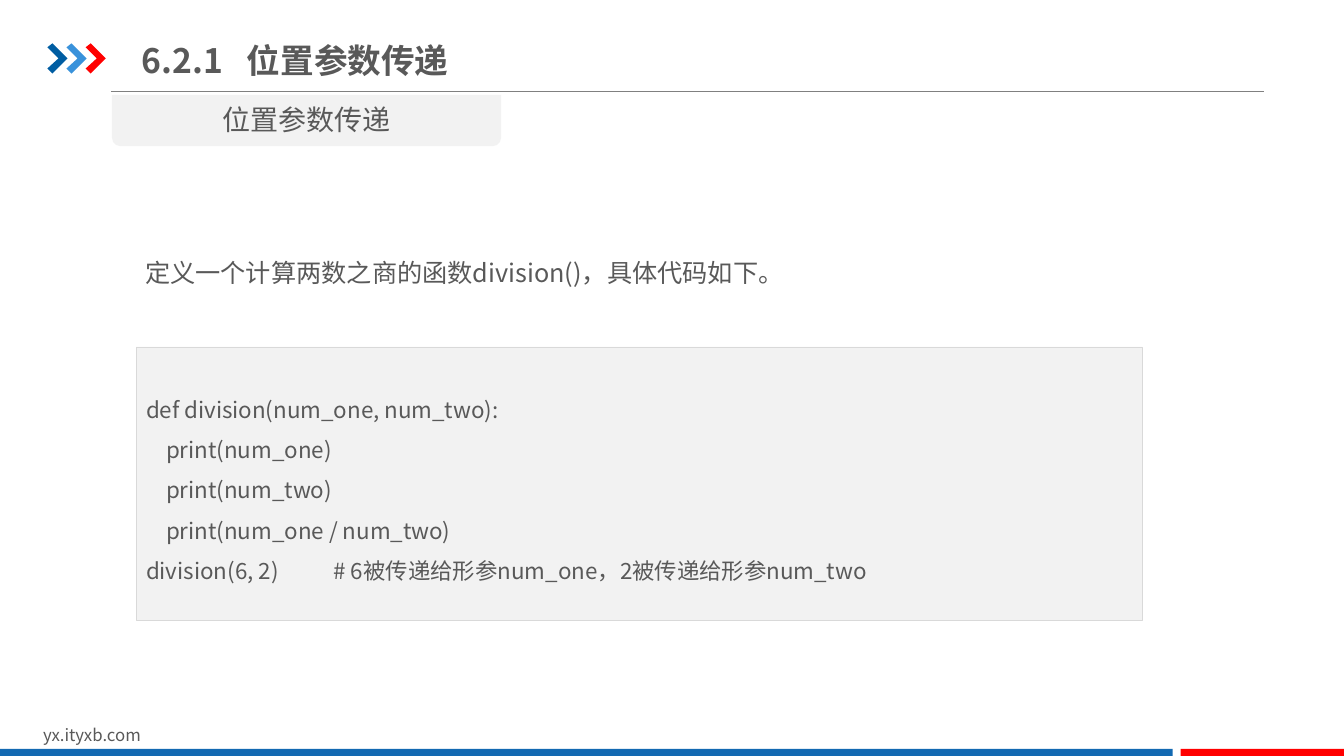
from lxml import etree
from pptx import Presentation
from pptx.dml.color import RGBColor
from pptx.enum.shapes import MSO_CONNECTOR, MSO_SHAPE
from pptx.enum.text import MSO_ANCHOR, PP_ALIGN
from pptx.oxml.ns import qn
from pptx.util import Inches, Pt

RECT = MSO_SHAPE.RECTANGLE
TAB = MSO_SHAPE.ROUND_2_SAME_RECTANGLE
LINE = MSO_CONNECTOR.STRAIGHT
LEFT, CENTER, JUST = PP_ALIGN.LEFT, PP_ALIGN.CENTER, PP_ALIGN.JUSTIFY
TOP, MIDDLE = MSO_ANCHOR.TOP, MSO_ANCHOR.MIDDLE

FONT = "Noto Sans CJK SC"
HEX = {
    "text": "595959", "rule": "808080", "panel": "F2F2F2", "edge": "D9D9D9",
    "navy": "005DA2", "sky": "3992DB", "red": "FF0000", "blue": "1369B2",
}
TITLE = "6.2.1\t位置参数传递"
LABEL = "位置参数传递"
INTRO = "定义一个计算两数之商的函数division()，具体代码如下。"
SITE = "yx.ityxb.com"
CODE = [
    "def division(num_one, num_two):",
    "    print(num_one)",
    "    print(num_two)",
    "    print(num_one / num_two)",
    "division(6, 2)           # 6被传递给形参num_one，2被传递给形参num_two",
]
CHEVRON = [(0, 0.04), (0.05, 0), (0.2, 0.15), (0.05, 0.3), (0, 0.25), (0.11, 0.15)]
ARROWS = ["navy", "sky", "red"]
BARS = [(0, 11.63, "blue"), (11.71, 1.63, "red")]

deck = Presentation()
deck.slide_width, deck.slide_height = Inches(13.33), Inches(7.5)
slide = deck.slides.add_slide(deck.slide_layouts[6])
shapes = slide.shapes


def color(name):
    return RGBColor.from_string(HEX[name])


def paint(shape, fill, edge=None):
    shape.shadow.inherit = False
    shape.fill.solid()
    shape.fill.fore_color.rgb = color(fill)
    if edge:
        shape.line.color.rgb = color(edge)
        shape.line.width = Pt(0.25)
    else:
        shape.line.fill.background()


def block(kind, box, fill, edge=None):
    shape = shapes.add_shape(kind, *map(Inches, box))
    paint(shape, fill, edge)
    return shape


def write(shape, lines, size, align=LEFT, anchor=TOP, space=None, bold=False):
    frame = shape.text_frame
    frame.word_wrap = True
    frame.vertical_anchor = anchor
    frame.text = "\n".join(lines)
    for para in frame.paragraphs:
        para.alignment = align
        if space:
            para.line_spacing = space
        for run in para.runs:
            run.font.size = Pt(size)
            run.font.bold = bold
            run.font.name = FONT
            run.font.color.rgb = color("text")
            east = etree.SubElement(run.font._element, qn("a:ea"))
            east.set("typeface", FONT)
    return frame


def label(box, text, size, **style):
    return write(shapes.add_textbox(*map(Inches, box)), [text], size, **style)


rule = shapes.add_connector(LINE, Inches(1.1), Inches(0.91), Inches(12.54), Inches(0.91))
rule.line.color.rgb = color("rule")
rule.line.width = Pt(0.75)
etree.SubElement(rule._element.spPr, qn("a:effectLst"))

for i, name in enumerate(ARROWS):
    left = 0.47 + i * 0.19
    spots = [(Inches(left + x), Inches(0.43 + y)) for x, y in CHEVRON]
    path = shapes.build_freeform(*spots[0])
    path.add_line_segments(spots[1:], close=True)
    paint(path.convert_to_shape(), name)

label((0.33, 7.14, 3.18, 0.3), SITE, 12)
for left, width, name in BARS:
    block(RECT, (left, 7.43, width, 0.09), name)

intro = label((1.31, 2.33, 10.32, 0.74), INTRO, 18, align=JUST, space=1.5)
intro.margin_left = intro.margin_right = Inches(0.13)
intro.margin_top = intro.margin_bottom = Inches(0.07)

panel = block(RECT, (1.35, 3.44, 9.98, 2.71), "panel", "edge")
write(panel, CODE, 16, anchor=MIDDLE, space=1.5)

title = label((1.31, 0.29, 5.41, 0.61), TITLE, 24, anchor=MIDDLE, bold=True)
props = title.paragraphs[0]._p.get_or_add_pPr()
stops = etree.SubElement(props, qn("a:tabLst"))
etree.SubElement(stops, qn("a:tab"), pos=str(Inches(1.04)), algn="l")

block(TAB, (1.11, 0.94, 3.86, 0.51), "panel").rotation = 180
label((1.11, 0.97, 3.86, 0.44), LABEL, 20, align=CENTER)

deck.save("out.pptx")
